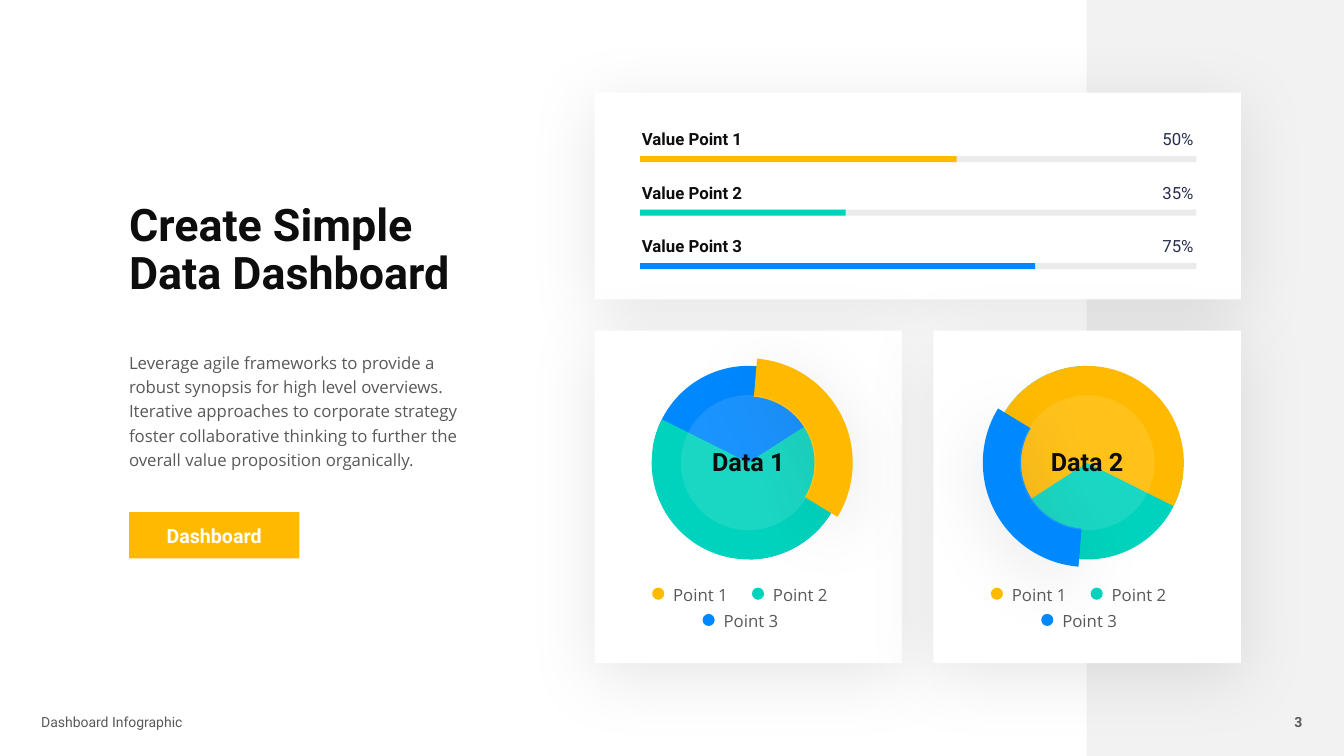
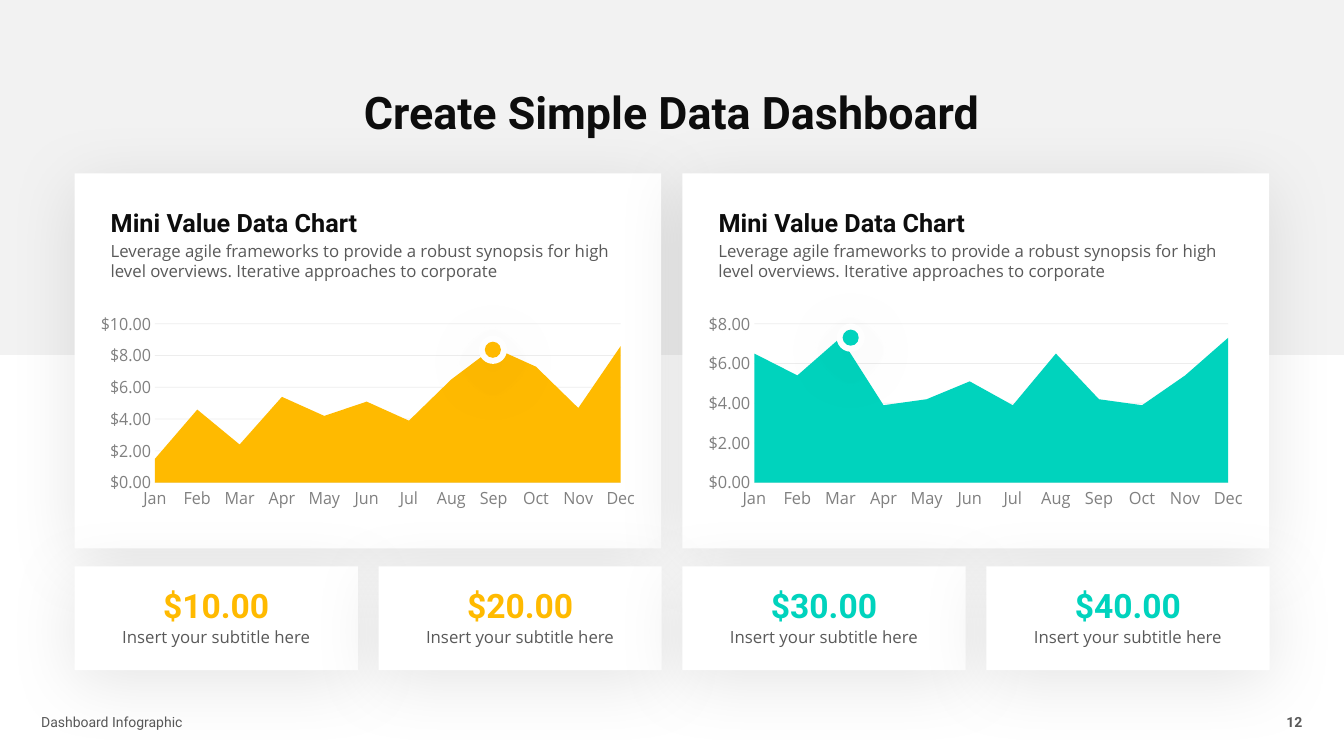
from dataclasses import dataclass
from lxml import etree
from pptx import Presentation
from pptx.chart.data import CategoryChartData
from pptx.dml.color import RGBColor
from pptx.enum.chart import XL_CHART_TYPE, XL_TICK_MARK
from pptx.enum.shapes import MSO_SHAPE
from pptx.enum.text import MSO_ANCHOR, MSO_AUTO_SIZE, PP_ALIGN
from pptx.oxml.ns import qn
from pptx.util import Emu, Pt

RECT, OVAL = MSO_SHAPE.RECTANGLE, MSO_SHAPE.OVAL
PIE, ARC = MSO_SHAPE.PIE, MSO_SHAPE.BLOCK_ARC
LEFT, MID, RIGHT = PP_ALIGN.LEFT, PP_ALIGN.CENTER, PP_ALIGN.RIGHT
TOP, CENTER, BASE = MSO_ANCHOR.TOP, MSO_ANCHOR.MIDDLE, MSO_ANCHOR.BOTTOM
AREA, NO_TICK = XL_CHART_TYPE.AREA_STACKED, XL_TICK_MARK.NONE
FIT = MSO_AUTO_SIZE.NONE

COLS, ROWS, CELL = 80, 45, 152400
GOLD, TEAL, BLUE = "FFBA00", "00D3BD", "0088FF"
WHITE, BLACK, PALE = "FFFFFF", "000000", "F2F2F2"
INK, GREY, NAVY = "0D0D0D", "595959", "282F4E"
SOFT, RULE = "808080", "A6A6A6"
HEAD, BODY = "Roboto", "Open Sans"
MONTHS = "Jan Feb Mar Apr May Jun Jul Aug Sep Oct Nov Dec".split()
PLOT = {"x": 0.071, "y": 0.083, "w": 0.91, "h": 0.758}


@dataclass
class Box:
    x: float
    y: float
    w: float
    h: float

    def emu(self) -> list:
        return [Emu(round(n * CELL)) for n in (self.x, self.y, self.w, self.h)]


@dataclass
class Type:
    size: float
    color: str = GREY
    face: str = BODY
    bold: bool = False
    align: int = LEFT
    anchor: int = TOP
    space: float = 1.0


@dataclass
class Bar:
    name: str
    value: str
    width: float
    color: str


@dataclass
class Donut:
    name: str
    back: str
    front: str
    arc: str
    turn: int


@dataclass
class Trend:
    values: tuple
    color: str
    x: float
    y: float


@dataclass
class Stat:
    value: str
    color: str


NOTE = Type(12)
KEY = Type(12, space=1.2)
CAPTION = Type(12, align=MID)
TITLE = Type(32, INK, HEAD, True, space=0.9)
WIDE = Type(32, INK, HEAD, True, MID, space=0.9)
SUB = Type(18, INK, HEAD, True, space=0.9)
RING = Type(18, INK, HEAD, True, MID, space=0.9)
NAME = Type(12, INK, HEAD, True, anchor=BASE)
SHARE = Type(12, NAVY, HEAD, align=RIGHT, anchor=BASE)
BUTTON = Type(14, WHITE, HEAD, True, MID, CENTER)
FOOT = Type(10, face=HEAD)
PAGE = Type(10, face=HEAD, bold=True, align=RIGHT)

BARS = (
    Bar("Value Point 1", "50%", 18.84, GOLD),
    Bar("Value Point 2", "35%", 12.24, TEAL),
    Bar("Value Point 3", "75%", 23.52, BLUE),
)
DONUTS = (
    Donut("Data 1", BLUE, TEAL, GOLD, 0),
    Donut("Data 2", TEAL, GOLD, BLUE, 180),
)
KEYS = (
    ("Point 1", GOLD, 0, 0),
    ("Point 2", TEAL, 5.94, 0),
    ("Point 3", BLUE, 3, 1.56),
)
TRENDS = (
    Trend((1.5, 4.6, 2.4, 5.4, 4.2, 5.1, 3.9, 6.5, 8.5, 7.3, 4.7, 8.6), GOLD, 29.34, 20.82),
    Trend((6.5, 5.4, 7.3, 3.9, 4.2, 5.1, 3.9, 6.5, 4.2, 3.9, 5.4, 7.3), TEAL, 50.64, 20.1),
)
STATS = (
    Stat("$10.00", GOLD),
    Stat("$20.00", GOLD),
    Stat("$30.00", TEAL),
    Stat("$40.00", TEAL),
)


def rgb(code: str) -> RGBColor:
    return RGBColor.from_string(code)


def fade(node, alpha: int) -> None:
    for tone in node.iter(qn("a:srgbClr")):
        etree.SubElement(tone, qn("a:alpha"), val=str(alpha * 1000))


def mark(x: float, y: float, size: float) -> Box:
    return Box(x - size / 2, y - size / 2, size, size)


def write(shape, text: str, kind: Type) -> None:
    frame = shape.text_frame
    frame.text = text
    frame.word_wrap = True
    frame.auto_size = FIT
    frame.vertical_anchor = kind.anchor
    para = frame.paragraphs[0]
    para.alignment = kind.align
    para.line_spacing = kind.space
    para.space_before = Pt(0)
    font = para.runs[0].font
    font.size, font.name, font.bold = Pt(kind.size), kind.face, kind.bold
    font.color.rgb = rgb(kind.color)


def label(slide, box: Box, text: str, kind: Type) -> None:
    write(slide.shapes.add_textbox(*box.emu()), text, kind)


def fill(holder, box: Box, text: str, kind: Type) -> None:
    holder.left, holder.top, holder.width, holder.height = box.emu()
    write(holder, text, kind)


def draw(slide, kind: int, box: Box, color: str, alpha: int = 100, shade: bool = False):
    shape = slide.shapes.add_shape(kind, *box.emu())
    shape.fill.solid()
    shape.fill.fore_color.rgb = rgb(color)
    shape.line.fill.background()
    shape.shadow.inherit = False
    props = shape._element.spPr
    if alpha < 100:
        fade(props, alpha)
    if shade:
        glow = etree.SubElement(
            props.find(qn("a:effectLst")), qn("a:outerShdw"),
            blurRad=str(Pt(50)), dist=str(Pt(9)), dir="5400000",
            algn="t", rotWithShape="0")
        etree.SubElement(glow, qn("a:srgbClr"), val=BLACK)
        fade(glow, 10)
    return shape


def card(slide, box: Box) -> None:
    draw(slide, RECT, box, WHITE, shade=True)


def start(deck, layout: int, page: str, band: Box):
    slide = deck.slides.add_slide(deck.slide_layouts[layout])
    back = draw(slide, RECT, band, PALE)
    slide.shapes._spTree.insert(2, back._element)
    label(slide, Box(1.86, 42.18, 16.74, 1.62), "Dashboard Infographic", FOOT)
    label(slide, Box(73.5, 42.18, 4.62, 1.62), page, PAGE)
    return slide


def meter(slide, bar: Bar, y: float) -> None:
    draw(slide, RECT, Box(38.1, y, 33.12, 0.36), BLACK, 8)
    draw(slide, RECT, Box(38.1, y, bar.width, 0.36), bar.color)
    label(slide, Box(37.62, y - 1.92, 9.6, 1.8), bar.name, NAME)
    label(slide, Box(65.28, y - 1.92, 6.36, 1.8), bar.value, SHARE)


def ring(slide, donut: Donut, x: float, y: float) -> None:
    parts = (
        (PIE, 11.52, donut.back, (113.048, 53.787)),
        (PIE, 11.52, donut.front, (196.324, 123.94)),
        (ARC, 12.42, donut.arc, (164.866, 18.791, 0.183)),
    )
    for kind, size, color, turns in parts:
        part = draw(slide, kind, mark(x, y, size), color, shade=kind == ARC)
        part.rotation = donut.turn
        for i, turn in enumerate(turns):
            part.adjustments[i] = turn
    draw(slide, OVAL, mark(x, y, 8.04), WHITE, 10)
    label(slide, Box(x - 4.02, 26.46, 8.04, 2.22), donut.name, RING)


def legend(slide, left: float, top: float) -> None:
    for name, color, dx, dy in KEYS:
        x, y = left + dx, top + dy
        draw(slide, OVAL, Box(x, y, 0.72, 0.72), color)
        label(slide, Box(x + 0.66, y - 0.72, 4.86, 1.98), name, KEY)


def graph(slide, box: Box, trend: Trend) -> None:
    data = CategoryChartData()
    data.categories = MONTHS
    data.add_series("Series 1", trend.values)
    chart = slide.shapes.add_chart(AREA, *box.emu(), data).chart
    chart.has_legend = chart.has_title = False
    chart.font.size, chart.font.name = Pt(12), BODY
    chart.font.color.rgb = rgb(SOFT)
    plot = chart.plots[0]
    plot.vary_by_categories = False
    area = plot.series[0].format
    area.fill.solid()
    area.fill.fore_color.rgb = rgb(trend.color)
    area.line.fill.background()
    months, money = chart.category_axis, chart.value_axis
    months.has_major_gridlines = False
    money.has_major_gridlines = True
    money.minimum_scale, money.major_unit = 0, 2
    money.tick_labels.number_format = '"$"#,##0.00'
    money.tick_labels.number_format_is_linked = False
    money.format.line.fill.background()
    for axis, line in ((months, months.format.line), (money, money.major_gridlines.format.line)):
        axis.major_tick_mark = axis.minor_tick_mark = NO_TICK
        line.color.rgb = rgb(RULE)
        line.width = Pt(0.5)
        fade(axis._element, 20)
    money._element.find(qn("c:crossBetween")).set("val", "midCat")
    field = chart._chartSpace.chart.plotArea
    for old in field.findall(qn("c:layout")):
        field.remove(old)
    layout = etree.Element(qn("c:layout"))
    field.insert(0, layout)
    manual = etree.SubElement(layout, qn("c:manualLayout"))
    modes = {"layoutTarget": "inner", "xMode": "edge", "yMode": "edge"}
    for tag, value in {**modes, **PLOT}.items():
        etree.SubElement(manual, qn("c:" + tag), val=str(value))


def rings(deck) -> None:
    slide = start(deck, 1, "3", Box(64.68, 0, 15.32, ROWS))
    fill(slide.shapes.title, Box(7.08, 11.76, 21.84, 6.42), "Create Simple Data Dashboard", TITLE)
    body = slide.placeholders[1]
    fill(body, Box(7.08, 20.46, 21.84, 7.8),
         "Leverage agile frameworks to provide a robust synopsis for high level overviews. "
         "Iterative approaches to corporate strategy foster collaborative thinking to further "
         "the overall value proposition organically.", KEY)
    props = body.text_frame.paragraphs[0]._p.get_or_add_pPr()
    props.set("marL", "0")
    props.set("indent", "0")
    etree.SubElement(props, qn("a:buNone"))
    button = draw(slide, RECT, Box(7.68, 30.48, 10.14, 2.76), GOLD)
    write(button, "Dashboard", BUTTON)
    card(slide, Box(35.4, 5.52, 38.46, 12.3))
    lefts = [35.4 + 20.16 * i for i in range(len(DONUTS))]
    for left in lefts:
        card(slide, Box(left, 19.68, 18.3, 19.8))
    for left, donut in zip(lefts, DONUTS):
        ring(slide, donut, left + 9.15, 27.54)
        legend(slide, left + 3.42, 34.98)
    for i, bar in enumerate(BARS):
        meter(slide, bar, 9.3 + 3.18 * i)


def trends(deck) -> None:
    slide = start(deck, 5, "12", Box(0, 0, COLS, 21.12))
    fill(slide.shapes.title, Box(16.14, 5.1, 47.7, 3.54), "Create Simple Data Dashboard", WIDE)
    lefts = [4.44 + 36.18 * i for i in range(len(TRENDS))]
    tiles = [4.44 + 18.09 * i for i in range(len(STATS))]
    for left in lefts:
        card(slide, Box(left, 10.32, 34.92, 22.32))
    for left in tiles:
        card(slide, Box(left, 33.72, 16.86, 6.18))
    for left, trend in zip(lefts, TRENDS):
        x = left + 1.56
        graph(slide, Box(x, 18.24, 31.8, 12.48), trend)
        label(slide, Box(x, 12.24, 18.54, 2.22), "Mini Value Data Chart", SUB)
        label(slide, Box(x, 14.04, 31.8, 3),
              "Leverage agile frameworks to provide a robust synopsis for high level overviews. "
              "Iterative approaches to corporate", NOTE)
        for size, color in ((1.68, WHITE), (0.96, trend.color)):
            draw(slide, OVAL, mark(trend.x, trend.y, size), color, shade=True)
    for left, stat in zip(tiles, STATS):
        kind = Type(24, stat.color, HEAD, True, MID, CENTER, 0.9)
        label(slide, Box(left + 2.61, 34.8, 11.64, 2.76), stat.value, kind)
        label(slide, Box(left + 1.77, 37.02, 13.32, 1.8), "Insert your subtitle here", CAPTION)


def main() -> None:
    deck = Presentation()
    deck.slide_width, deck.slide_height = Emu(COLS * CELL), Emu(ROWS * CELL)
    rings(deck)
    trends(deck)
    deck.save("out.pptx")


if __name__ == "__main__":
    main()
